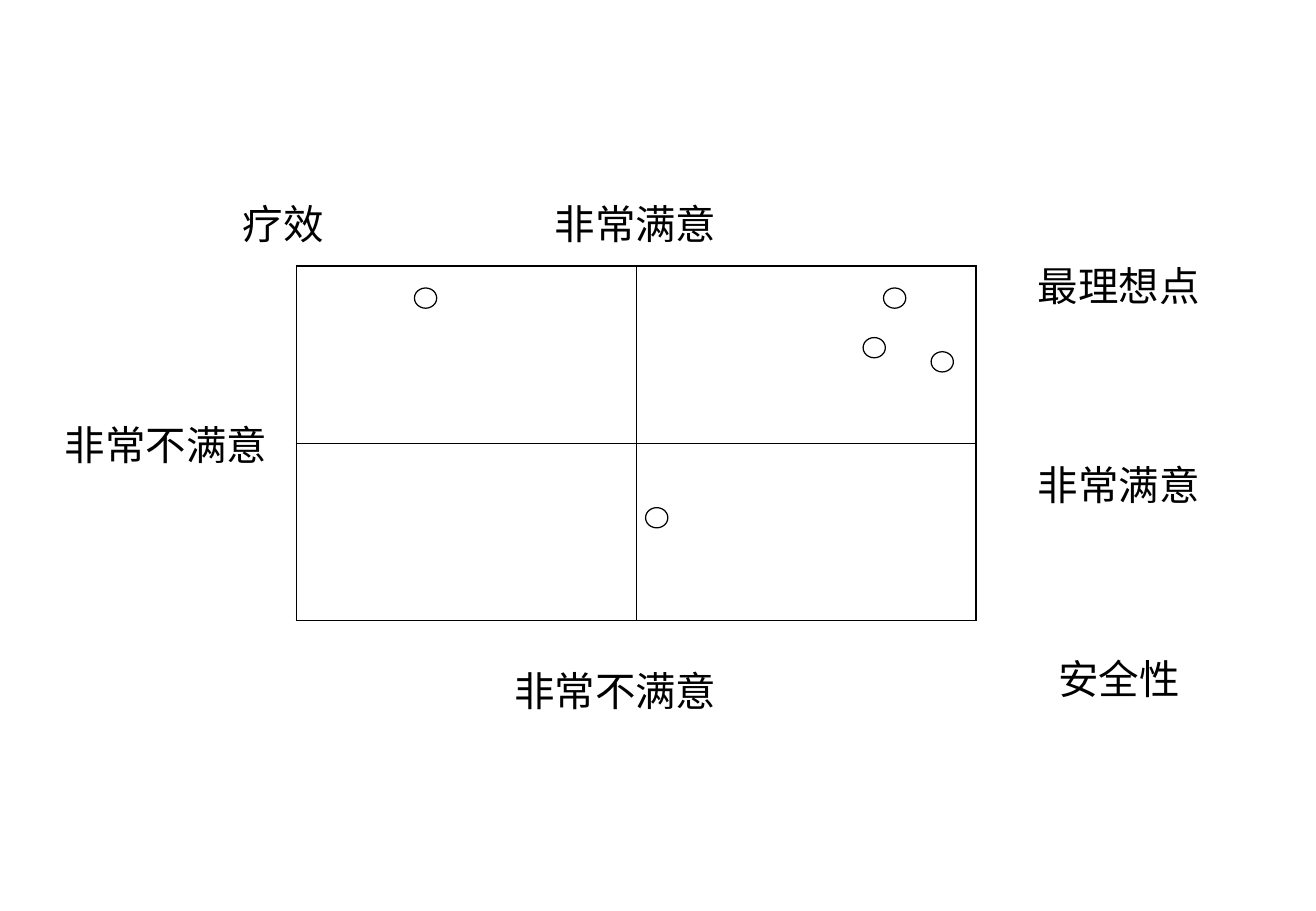
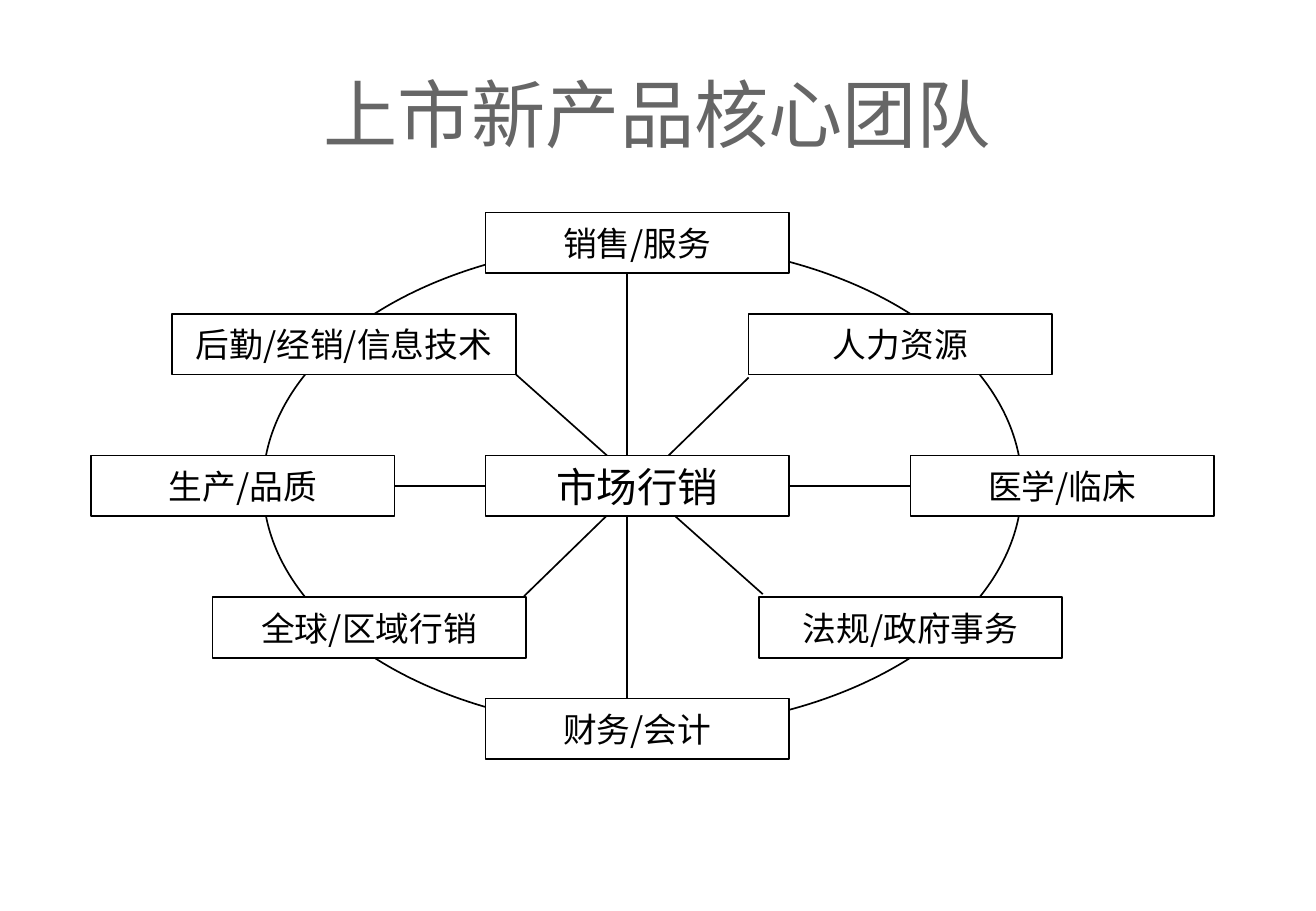
from lxml import etree
from pptx import Presentation
from pptx.dml.color import RGBColor
from pptx.enum.shapes import MSO_CONNECTOR, MSO_SHAPE
from pptx.enum.text import MSO_ANCHOR, PP_ALIGN
from pptx.oxml.ns import qn
from pptx.util import Inches, Pt

BLACK, WHITE, GREY = "000000", "FFFFFF", "666666"
SANS, SERIF, TITLE_FONT = "Noto Sans CJK SC", "Times New Roman", "Arial"
LEFT, CENTER, RIGHT = PP_ALIGN.LEFT, PP_ALIGN.CENTER, PP_ALIGN.RIGHT


def rgb(color):
    return RGBColor.from_string(color)


def grid(*units):
    """Turn columns and rows, twelve to the inch, into lengths."""
    return [Inches(u / 12) for u in units]


class Deck:
    def __init__(self, width, height):
        self.prs = Presentation()
        self.prs.slide_width, self.prs.slide_height = Inches(width), Inches(height)
        self.s = None

    def new_slide(self, title=None):
        self.s = self.prs.slides.add_slide(self.prs.slide_layouts[5 if title else 6])
        if title:
            sp = self.s.shapes.title
            sp.left, sp.top, sp.width, sp.height = grid(6.5, 3.6, 117, 15)
            self.set_text(sp, title, 44, TITLE_FONT, color=GREY)

    def set_text(self, sp, text, size, font, align=CENTER, color=BLACK):
        tf = sp.text_frame
        tf.vertical_anchor = MSO_ANCHOR.MIDDLE
        tf.text = text
        p = tf.paragraphs[0]
        p.alignment = align
        p.font.size, p.font.name = Pt(size), font
        p.font.color.rgb = rgb(color)
        rpr = p._p.pPr.find(qn("a:defRPr"))
        etree.SubElement(rpr, qn("a:ea"), typeface=SANS)

    def label(self, text, left, middle, align, width=24, height=6):
        sp = self.s.shapes.add_textbox(*grid(left, middle - height / 2, width, height))
        self.set_text(sp, text, 24, SERIF, align)
        sp.text_frame.word_wrap = True

    def shape(self, kind, left, top, width, height, fill=WHITE, weight=1):
        sp = self.s.shapes.add_shape(kind, *grid(left, top, width, height))
        sp.shadow.inherit = False
        if fill:
            sp.fill.solid()
            sp.fill.fore_color.rgb = rgb(fill)
        else:
            sp.fill.background()
        sp.line.color.rgb = rgb(BLACK)
        sp.line.width = Pt(weight)
        return sp

    def box(self, text, left, top, width=30, size=20):
        sp = self.shape(MSO_SHAPE.RECTANGLE, left, top, width, 6)
        self.set_text(sp, text, size, SANS)
        sp.text_frame.word_wrap = False
        return sp

    def line(self, x1, y1, x2, y2):
        c = self.s.shapes.add_connector(MSO_CONNECTOR.STRAIGHT, *grid(x1, y1, x2, y2))
        c.line.color.rgb = rgb(BLACK)
        c.line.width = Pt(1)
        etree.SubElement(c._element.spPr, qn("a:effectLst"))
        return c

    def matrix(self, left, top, width, height, n=2, outer=1.08, inner=0.45):
        """Draw an empty n by n table with a heavier outer border."""
        frame = self.s.shapes.add_table(n, n, *grid(left, top, width, height))
        table = frame.table
        table.first_row = table.horz_banding = False
        for i in range(n):
            for j in range(n):
                cell = table.cell(i, j)
                cell.fill.background()
                edges = {"L": j == 0, "R": j == n - 1, "T": i == 0, "B": i == n - 1}
                for k, (side, is_outer) in enumerate(edges.items()):
                    ln = etree.Element(qn(f"a:ln{side}"),
                                       w=str(Pt(outer if is_outer else inner)))
                    fill = etree.SubElement(ln, qn("a:solidFill"))
                    etree.SubElement(fill, qn("a:srgbClr"), val=BLACK)
                    cell._tc.tcPr.insert(k, ln)


def satisfaction_slide(deck):
    deck.new_slide()
    left, top, width, height = 29.3, 26.3, 67.2, 35
    dot_w, dot_h = 2.2, 2
    for x, y in [(0.53, 0.71), (0.88, 0.09), (0.19, 0.09), (0.85, 0.23), (0.95, 0.27)]:
        deck.shape(MSO_SHAPE.OVAL, left + x * width - dot_w / 2,
                   top + y * height - dot_h / 2, dot_w, dot_h, weight=0.75)
    deck.matrix(left, top, width, height)
    for label in [("疗效", 22.8, 22.1, LEFT), ("非常满意", 48, 22.1, RIGHT),
                  ("最理想点", 101.4, 28.2, LEFT), ("非常不满意", 3.6, 43.9, RIGHT),
                  ("非常满意", 98.6, 47.8, CENTER), ("安全性", 98.6, 67, CENTER),
                  ("非常不满意", 48, 68.2, RIGHT)]:
        deck.label(*label)


def team_slide(deck):
    deck.new_slide("上市新产品核心团队")
    deck.shape(MSO_SHAPE.OVAL, 26, 24, 75, 48, fill=None)
    for ends in [(51.8, 58.9, 74, 37.3), (51, 37, 75.4, 58.7), (62, 27, 62, 69)]:
        deck.line(*ends)
    for box in [("销售/服务", 48, 21), ("财务/会计", 48, 69), ("人力资源", 74, 31),
                ("法规/政府事务", 75, 59), ("后勤/经销/信息技术", 17, 31, 34),
                ("全球/区域行销", 21, 59, 31)]:
        deck.box(*box)
    production = deck.box("生产/品质", 9, 45)
    medical = deck.box("医学/临床", 90, 45)
    axis = deck.line(39, 48, 90, 48)
    axis.begin_connect(production, 3)
    axis.end_connect(medical, 1)
    deck.box("市场行销", 48, 45, size=24)


def main():
    deck = Deck(10.84, 7.5)
    satisfaction_slide(deck)
    team_slide(deck)
    deck.prs.save("out.pptx")


if __name__ == "__main__":
    main()
